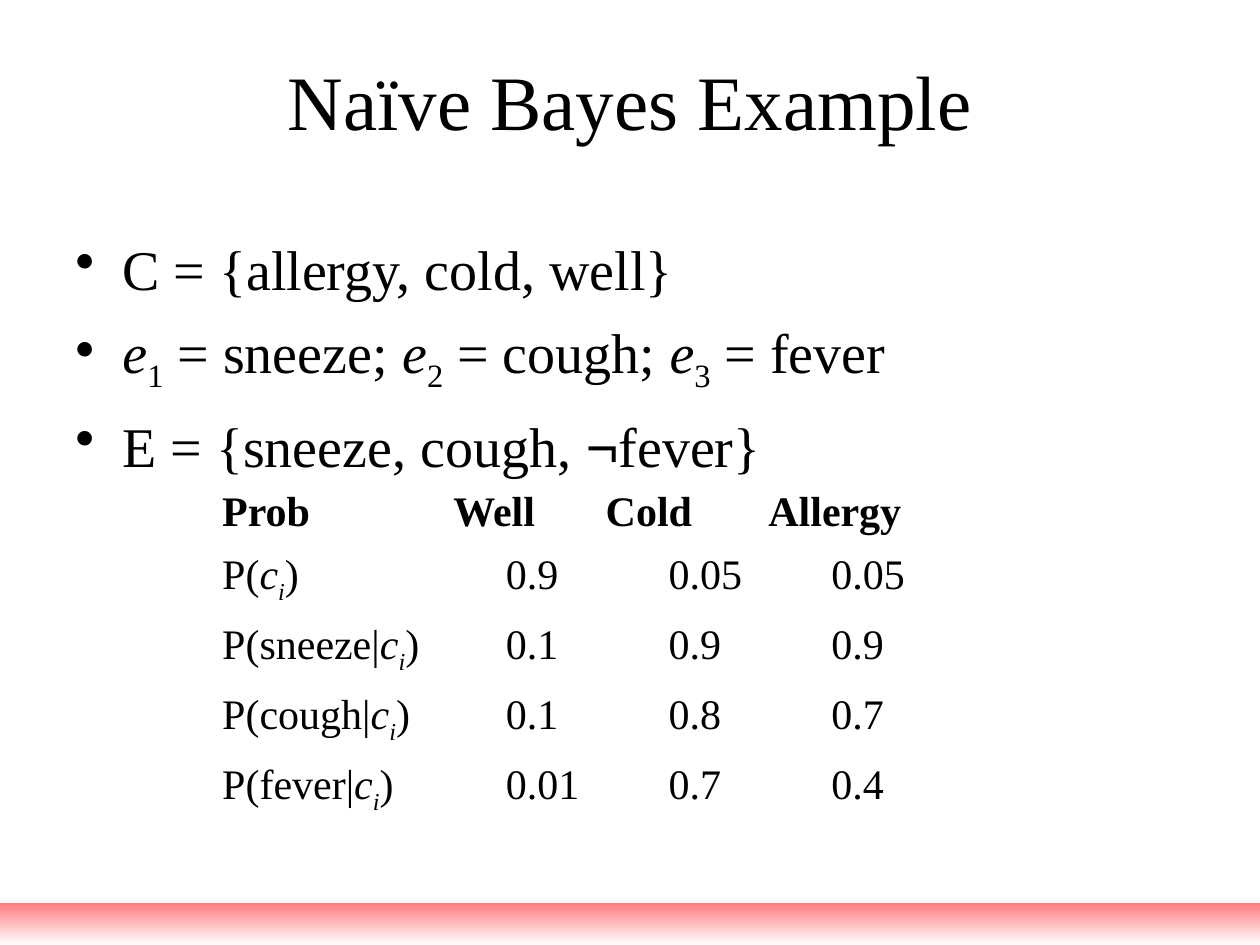
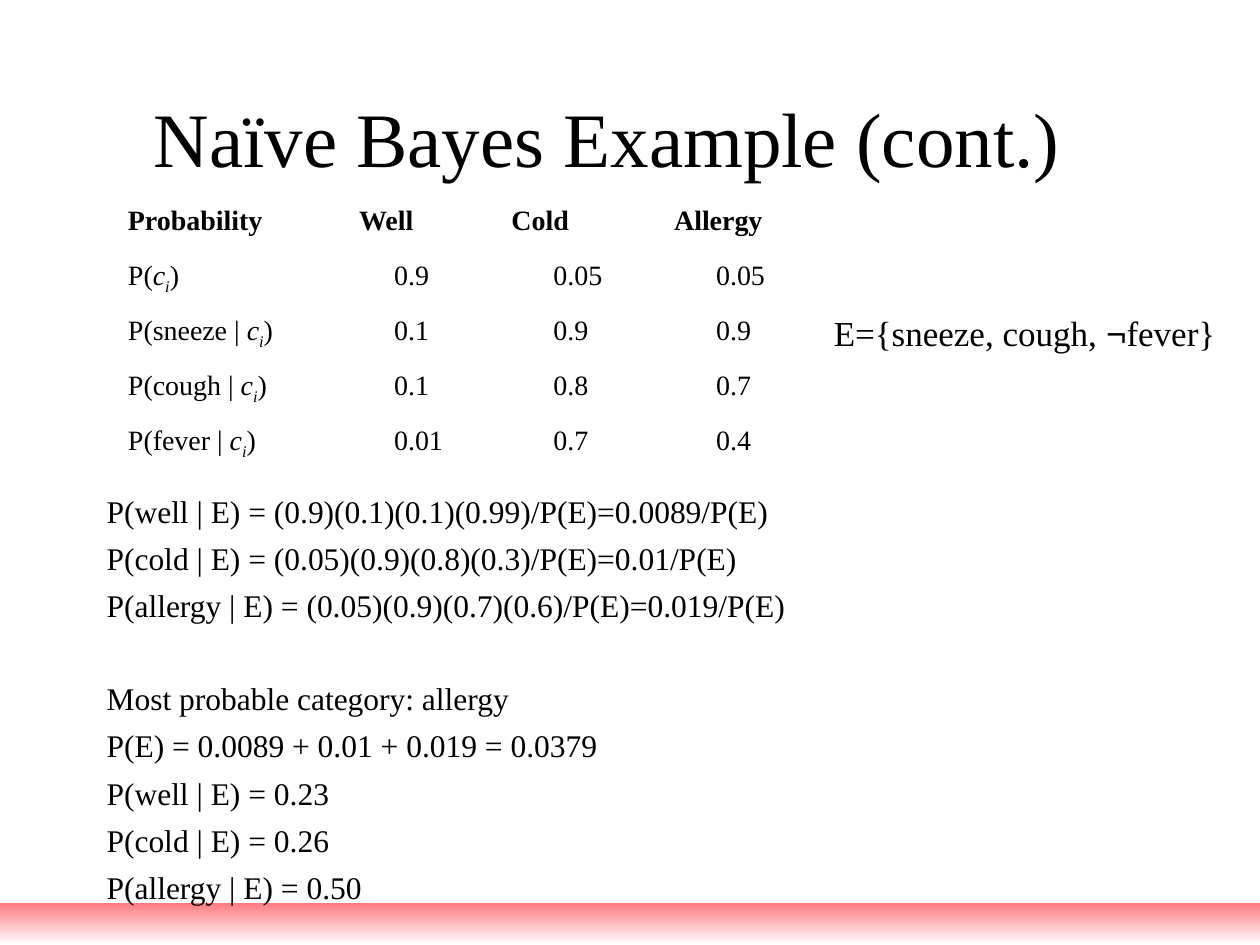
from dataclasses import dataclass
from typing import NamedTuple

import pptx
import pptx.dml.color
import pptx.enum.text
import pptx.oxml
import pptx.oxml.ns
import pptx.util

Cm = pptx.util.Cm
Pt = pptx.util.Pt
COLORS = {"text": "000000", "band": "FF7C80", "paper": "FFFFFF"}
SERIF, SANS = "Times New Roman", "Arial"
TITLE_SIZE = 44
CM_PER_PT = 2.54 / 72
MARGIN = 0.25


class Run(NamedTuple):
    text: str
    italic: bool = False
    sub: bool = False
    bold: bool = False
    font: str = SERIF


class Box(NamedTuple):
    left: float
    top: float
    width: float
    height: float


@dataclass
class Para:
    runs: list[Run]
    before: float = 0
    bullet: bool = False


@dataclass
class ProbTable:
    box: Box
    size: int
    label: str
    bar: str
    col_widths: list[float]
    row_heights: list[float]


EVENTS = ["", "sneeze", "cough", "fever"]
CLASSES = ["Well", "Cold", "Allergy"]
PROBS = [
    ["0.9", "0.05", "0.05"],
    ["0.1", "0.9", "0.9"],
    ["0.1", "0.8", "0.7"],
    ["0.01", "0.7", "0.4"],
]
INDENT_SPACES = [5, 6, 6]


def color(name: str) -> pptx.dml.color.RGBColor:
    return pptx.dml.color.RGBColor.from_string(COLORS[name])


def add_runs(p, runs: list[Run], size: float) -> None:
    for run in runs:
        r = p.add_run()
        r.text = run.text
        r.font.size = Pt(size)
        r.font.name = run.font
        r.font.bold = run.bold
        r.font.italic = run.italic
        r.font.color.rgb = color("text")
        if run.sub:
            r._r.get_or_add_rPr().set("baseline", "-25000")


def add_bullet(p) -> None:
    pPr = p._p.get_or_add_pPr()
    pPr.set("marL", str(Cm(0.95)))
    pPr.set("indent", str(Cm(-0.95)))
    bullet = pptx.oxml.parse_xml(f'<a:buChar {pptx.oxml.ns.nsdecls("a")} char="•"/>')
    pPr.append(bullet)


def add_text(s, box: Box, paras: list[Para], size: float, inset: float = 0.13,
             centered: bool = False, wrap: bool = True) -> None:
    sp = s.shapes.add_textbox(*map(Cm, box))
    tf = sp.text_frame
    tf.word_wrap = wrap
    tf.margin_top = Cm(inset)
    for i, para in enumerate(paras):
        p = tf.add_paragraph() if i else tf.paragraphs[0]
        if centered:
            p.alignment = pptx.enum.text.PP_ALIGN.CENTER
        if i:
            p.space_before = Pt(para.before)
        if para.bullet:
            add_bullet(p)
        add_runs(p, para.runs, size)


def add_band(s) -> None:
    sp = s.shapes.add_shape(1, *map(Cm, Box(0, 18.21, 25.4, 0.84)))
    sp.shadow.inherit = False
    sp.line.fill.background()
    sp.fill.gradient()
    sp.fill.gradient_angle = 270
    for stop, position, name in zip(sp.fill.gradient_stops, (0, 1), ("band", "paper")):
        stop.position = position
        stop.color.rgb = color(name)


def add_slide(prs, title: str, left: float, top: float):
    s = prs.slides.add_slide(prs.slide_layouts[6])
    add_band(s)
    add_text(s, Box(left, top, 22.86, 3.18), [Para([Run(title)])], TITLE_SIZE,
             inset=0.31, centered=True)
    return s


def prob_label(event: str, bar: str) -> list[Run]:
    given = event + bar if event else ""
    return [Run(f"P({given}"), Run("c", italic=True),
            Run("i", italic=True, sub=True), Run(")")]


def add_prob_table(s, spec: ProbTable) -> None:
    rows = [[[Run(t, bold=True)] for t in [spec.label, *CLASSES]]]
    for event, values in zip(EVENTS, PROBS):
        rows.append([prob_label(event, spec.bar)] + [[Run(v)] for v in values])
    table = s.shapes.add_table(len(rows), len(rows[0]), *map(Cm, spec.box)).table
    table.first_row = False
    table.horz_banding = False
    for column, width in zip(table.columns, spec.col_widths):
        column.width = Cm(width)
    for i, (row, height) in enumerate(zip(rows, spec.row_heights)):
        table.rows[i].height = Cm(height)
        for j, runs in enumerate(row):
            cell = table.cell(i, j)
            cell.fill.background()
            indent = INDENT_SPACES[j - 1] * spec.size / 4 * CM_PER_PT if i and j else 0
            cell.margin_left = Cm(MARGIN + indent)
            add_runs(cell.text_frame.paragraphs[0], runs, spec.size)


def evidence(equals: str) -> list[Run]:
    return [Run(f"E{equals}{{sneeze, cough, "), Run("¬", font=SANS), Run("fever}")]


def build_example(prs) -> None:
    s = add_slide(prs, "Naïve Bayes Example", 1.27, 0.76)
    features = []
    for i, text in enumerate([" = sneeze; ", " = cough; ", " = fever"], 1):
        features += [Run("e", italic=True), Run(str(i), sub=True), Run(text)]
    bullets = [[Run("C = {allergy, cold, well}")], features, evidence(" = ")]
    add_text(s, Box(1.27, 4.45, 22.86, 12.57),
             [Para(runs, 9.5, bullet=True) for runs in bullets], 32, inset=0.27)
    add_prob_table(s, ProbTable(Box(4.23, 9.74, 14.39, 6.94), 24, "Prob", "|",
                                [4.66, 3.07, 3.28, 3.38], [1.27] + [1.41] * 4))


def build_continuation(prs) -> None:
    s = add_slide(prs, "Naïve Bayes Example (cont.)", 0.81, 1.52)
    line_gap, group_gap = 5.4, 31.5
    groups = [
        ["P(well | E) = (0.9)(0.1)(0.1)(0.99)/P(E)=0.0089/P(E)",
         "P(cold | E) = (0.05)(0.9)(0.8)(0.3)/P(E)=0.01/P(E)",
         "P(allergy | E) = (0.05)(0.9)(0.7)(0.6)/P(E)=0.019/P(E)"],
        ["Most probable category: allergy",
         "P(E) = 0.0089 + 0.01 + 0.019 = 0.0379",
         "P(well | E) = 0.23",
         "P(cold | E) = 0.26",
         "P(allergy | E) = 0.50"],
    ]
    paras = [Para([Run(text)], line_gap if i else group_gap)
             for group in groups for i, text in enumerate(group)]
    add_text(s, Box(1.9, 3.81, 22.23, 14.81), paras, 18, inset=6.1)
    add_prob_table(s, ProbTable(Box(2.33, 4.02, 13.97, 5.46), 16, "Probability", " | ",
                                [4.66, 3.07, 3.28, 2.96], [1.11] * 4 + [1.04]))
    add_text(s, Box(16.54, 6.15, 8.23, 1.12), [Para(evidence("="))], 20,
             centered=True, wrap=False)


def main() -> None:
    prs = pptx.Presentation()
    prs.slide_width, prs.slide_height = Cm(25.4), Cm(19.05)
    build_example(prs)
    build_continuation(prs)
    prs.save("out.pptx")


if __name__ == "__main__":
    main()
